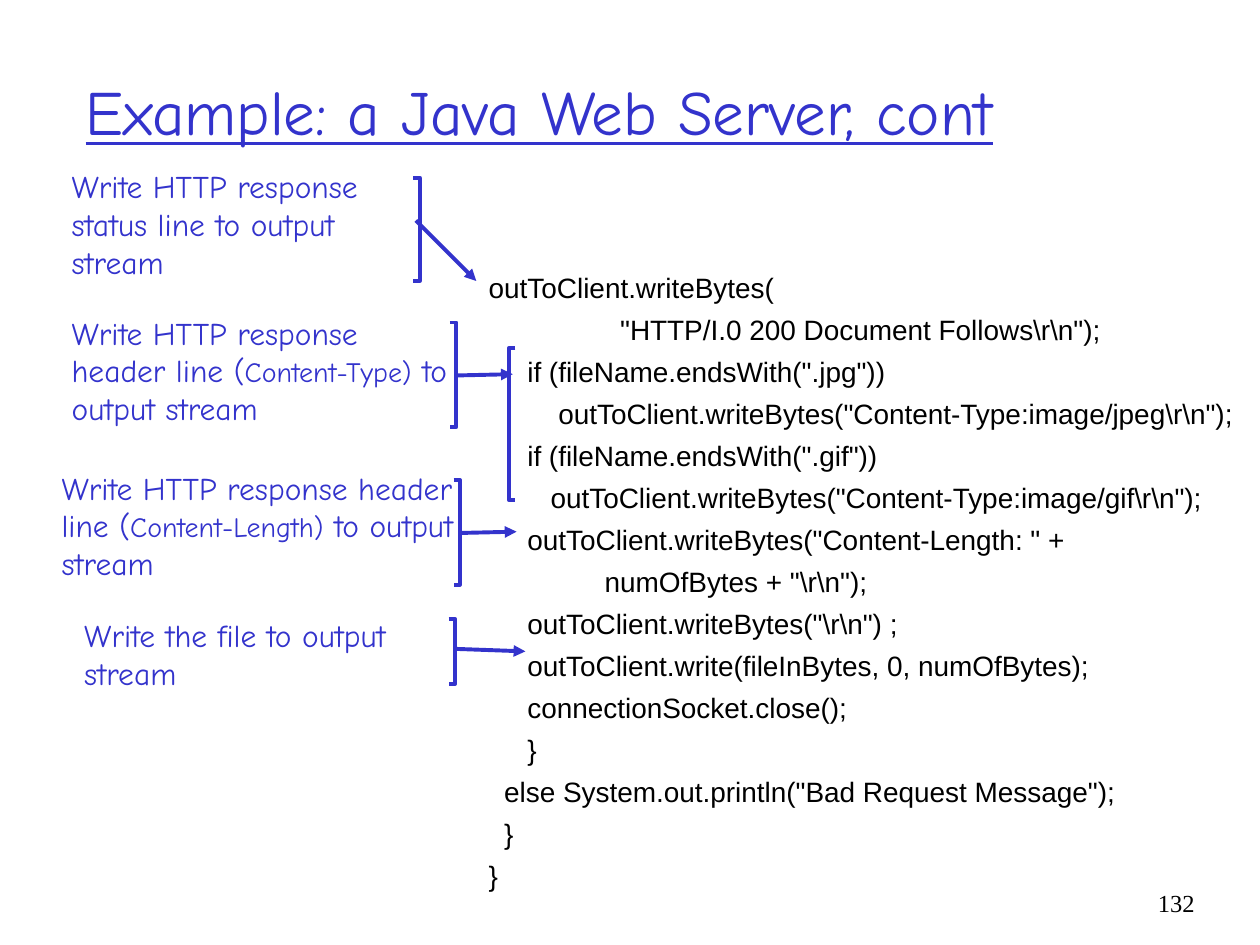
from lxml.etree import SubElement
from pptx import Presentation
from pptx.dml.color import RGBColor
from pptx.enum.shapes import MSO_CONNECTOR
from pptx.enum.text import MSO_ANCHOR, MSO_AUTO_SIZE, PP_ALIGN
from pptx.oxml.ns import qn
from pptx.util import Inches, Pt

COLORS = {"accent": "3333CC", "text": "000000", "background": "FFFFFF"}
NOTE_FONT = "Comic Neue"

CODE = r'''outToClient.writeBytes(
                 "HTTP/I.0 200 Document Follows\r\n");
     if (fileName.endsWith(".jpg"))
         outToClient.writeBytes("Content-Type:image/jpeg\r\n");
     if (fileName.endsWith(".gif"))
        outToClient.writeBytes("Content-Type:image/gif\r\n");
     outToClient.writeBytes("Content-Length: " +
               numOfBytes + "\r\n");
     outToClient.writeBytes("\r\n") ;
     outToClient.write(fileInBytes, 0, numOfBytes);
     connectionSocket.close();
     }
  else System.out.println("Bad Request Message");
  }
}'''

NOTES = [
    ((0.47, 1.28, 2.84, 1), [("Write HTTP response status line to output stream", 18)]),
    ((0.47, 2.44, 3.29, 1), [("Write HTTP response header line (", 18),
                             ("Content-Type)", 16), (" to output stream", 18)]),
    ((0.39, 3.67, 3.5, 1), [("Write HTTP response header line (", 18),
                            ("Content-Length)", 16), (" to output stream", 18)]),
    ((0.57, 4.84, 3.12, 0.7), [("Write the file to output stream", 18)]),
]

BRACKETS = [
    (3.28, 3.33, 1.41, 2.23),
    (3.57, 3.62, 2.56, 3.39),
    (4.09, 4.04, 2.76, 3.97),
    (3.6, 3.65, 3.81, 4.64),
    (3.56, 3.61, 4.91, 5.43),
]

ARROWS = [
    (3.3, 1.75, 3.78, 2.23),
    (3.62, 2.98, 4.07, 2.97),
    (3.65, 4.23, 4.1, 4.22),
    (3.62, 5.15, 4.17, 5.17),
]


def color(name):
    return RGBColor.from_string(COLORS[name])


def add_run(para, text, size, font, color_name):
    run = para.add_run()
    run.text = text
    run.font.size = Pt(size)
    run.font.name = font
    run.font.color.rgb = color(color_name)
    return run


def add_title(page, text):
    title = page.shapes.title
    title.left, title.top, title.width, title.height = map(Inches, (0.58, 0.25, 8.5, 1.25))
    frame = title.text_frame
    frame.auto_size = MSO_AUTO_SIZE.NONE
    frame.vertical_anchor = MSO_ANCHOR.MIDDLE
    para = frame.paragraphs[0]
    para.alignment = PP_ALIGN.LEFT
    add_run(para, text, 36, NOTE_FONT, "accent").font.underline = True


def add_box(page, place):
    box = page.shapes.add_textbox(*map(Inches, place))
    box.text_frame.word_wrap = True
    return box.text_frame


def add_code(page, place, code):
    frame = add_box(page, place)
    for index, line in enumerate(code.split("\n")):
        para = frame.add_paragraph() if index else frame.paragraphs[0]
        if index:
            para.space_before = Pt(4.8)
        add_run(para, line, 16, "Arial", "text")


def add_note(page, place, pieces):
    frame = add_box(page, place)
    frame.auto_size = MSO_AUTO_SIZE.SHAPE_TO_FIT_TEXT
    for text, size in pieces:
        add_run(frame.paragraphs[0], text, size, NOTE_FONT, "accent")


def add_page_number(page, place, number):
    para = add_box(page, place).paragraphs[0]
    para.alignment = PP_ALIGN.RIGHT
    add_run(para, number, 14, "Times New Roman", "text")


def style_line(shape):
    shape.line.color.rgb = color("accent")
    shape.line.width = Pt(2.25)


def add_bracket(page, tip, spine, top, bottom):
    tip, spine, top, bottom = map(Inches, (tip, spine, top, bottom))
    builder = page.shapes.build_freeform(tip, top)
    builder.add_line_segments([(spine, top), (spine, bottom), (tip, bottom)], close=False)
    bracket = builder.convert_to_shape()
    bracket.shadow.inherit = False
    bracket.fill.background()
    style_line(bracket)


def add_arrow(page, *ends):
    arrow = page.shapes.add_connector(MSO_CONNECTOR.STRAIGHT, *map(Inches, ends))
    style_line(arrow)
    SubElement(arrow.line._get_or_add_ln(), qn("a:tailEnd"), type="triangle")
    SubElement(arrow._element.spPr, qn("a:effectLst"))


def main():
    deck = Presentation()
    deck.slide_width, deck.slide_height = Inches(10), Inches(7.5)
    page = deck.slides.add_slide(deck.slide_layouts[5])
    page.background.fill.solid()
    page.background.fill.fore_color.rgb = color("background")

    add_title(page, "Example: a Java Web Server, cont")
    add_code(page, (3.78, 2.1, 6.22, 5.08), CODE)
    for place, pieces in NOTES:
        add_note(page, place, pieces)
    for bracket in BRACKETS:
        add_bracket(page, *bracket)
    for arrow in ARROWS:
        add_arrow(page, *arrow)
    add_page_number(page, (9.08, 7, 0.5, 0.5), "132")

    deck.save("out.pptx")


if __name__ == "__main__":
    main()
